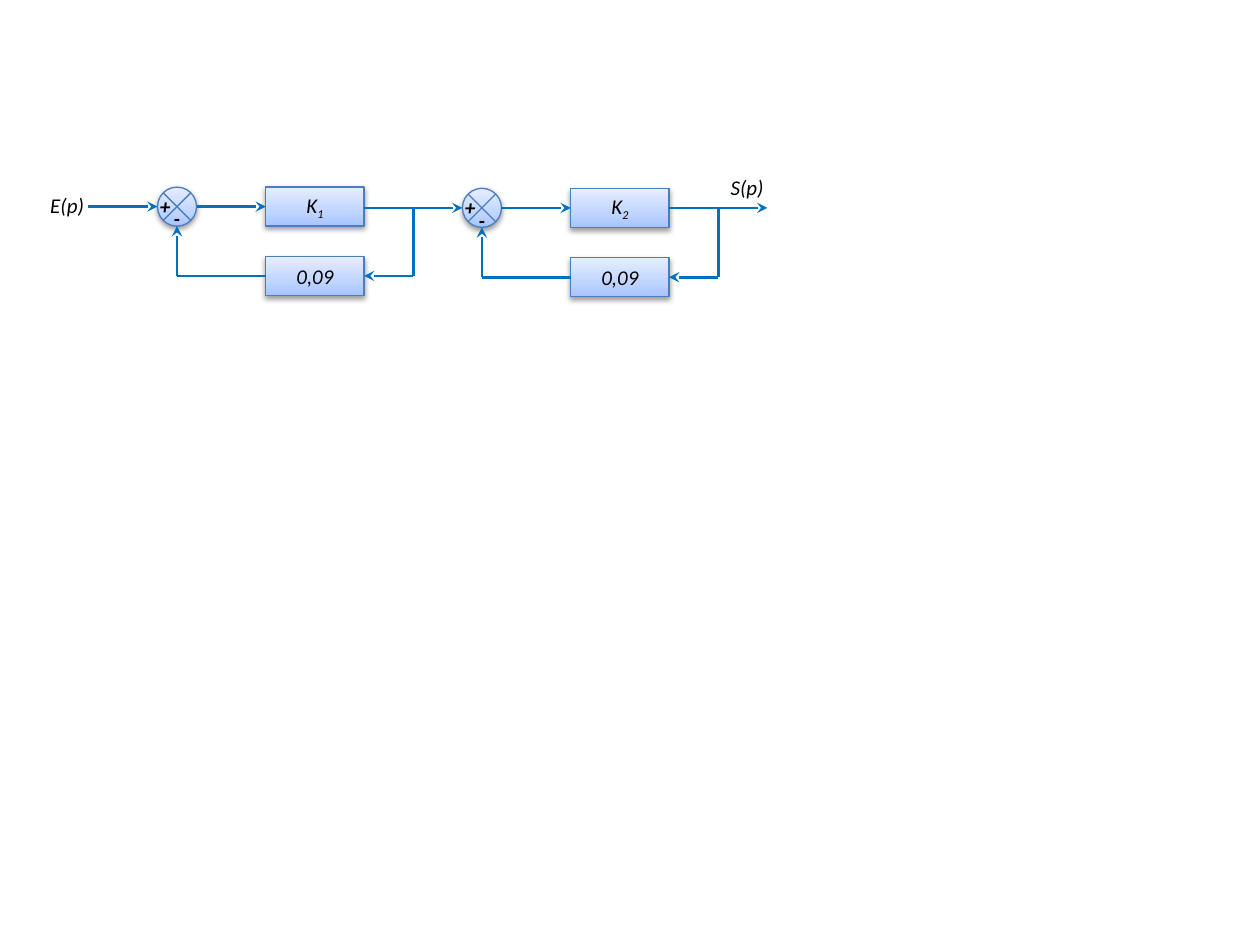
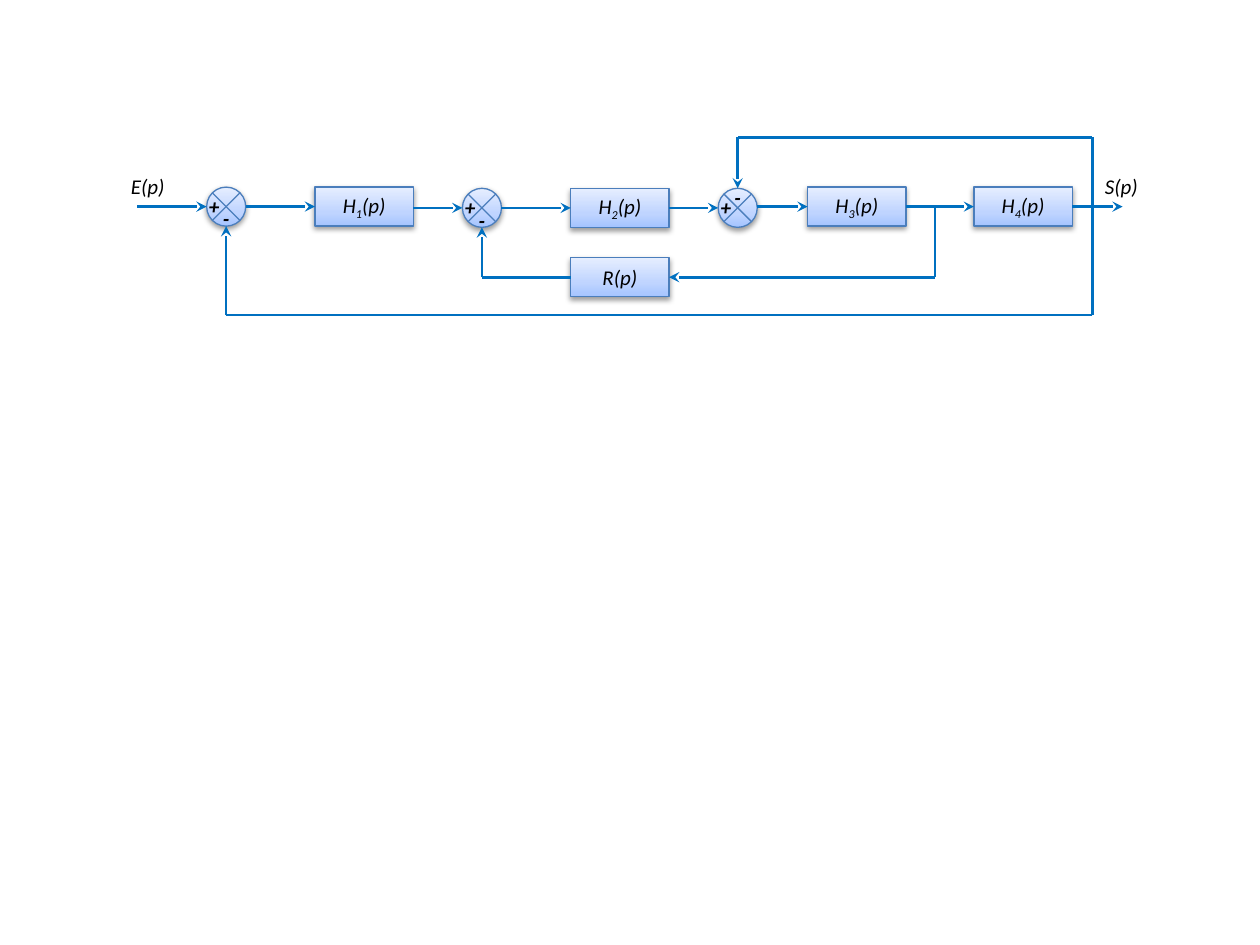
from dataclasses import dataclass
from itertools import pairwise

from lxml import etree
from pptx import Presentation
from pptx import util as u
from pptx.dml.color import RGBColor
from pptx.enum import shapes, text
from pptx.oxml import parse_xml
from pptx.oxml.ns import nsdecls, qn

COLORS = {
    "ink": "000000",
    "signal": "0070C0",
    "outline": "4B7EBC",
    "fill_low": "A4C4FF",
    "fill_mid": "BFD4FF",
    "fill_high": "E6EEFF",
}
FONT = "Calibri"
BLOCK_W, SIZE = 0.78, 0.31  # block width; block height and junction diameter
HALF = SIZE / 2
LABEL_W, LABEL_H = 0.55, 0.3
AXIS, LOWER_AXIS = 1.64, 1.65  # the second loop sits slightly lower
FEEDBACK_DROP = 0.55

Point = tuple[float, float]


@dataclass
class Block:
    """Transfer function; y is the centre line, index is a subscript."""
    left: float
    y: float
    name: str
    index: str = ""
    argument: str = ""

    @property
    def right(self) -> float:
        return self.left + BLOCK_W


@dataclass
class Junction:
    """Comparator; its minus sign is below or above the centre."""
    left: float
    y: float
    minus_above: bool = False

    @property
    def right(self) -> float:
        return self.left + SIZE

    @property
    def center(self) -> float:
        return self.left + HALF


# Shared styles
def rgb(key: str) -> RGBColor:
    return RGBColor.from_string(COLORS[key])


def style_body(shape) -> None:
    """Upward blue gradient, thin outline and soft shadow."""
    shape.shadow.inherit = False
    shape.line.color.rgb = rgb("outline")
    shape.line.width = u.Pt(0.75)
    shape.fill.background()
    stops = "".join(
        f'<a:gs pos="{pos * 1000}"><a:srgbClr val="{COLORS[key]}"/></a:gs>'
        for pos, key in ((0, "fill_low"), (35, "fill_mid"), (100, "fill_high")))
    gradient = parse_xml(
        f'<a:gradFill {nsdecls("a")} rotWithShape="1"><a:gsLst>{stops}</a:gsLst>'
        '<a:lin ang="16200000" scaled="0"/></a:gradFill>')
    properties = shape._element.spPr
    properties.replace(properties.find(qn("a:noFill")), gradient)
    properties.find(qn("a:effectLst")).append(parse_xml(
        f'<a:outerShdw {nsdecls("a")} blurRad="{u.Pt(3.1)}" dist="{u.Pt(1.6)}" '
        f'dir="5400000" rotWithShape="0"><a:srgbClr val="{COLORS["ink"]}">'
        '<a:alpha val="38000"/></a:srgbClr></a:outerShdw>'))


def style_run(run, bold: bool = False) -> None:
    run.font.name = FONT
    run.font.size = u.Pt(12)
    run.font.italic = True
    run.font.bold = bold
    run.font.color.rgb = rgb("ink")


# Diagram parts
def draw_label(slide, left: float, top: float, wording: str,
               bold: bool = False) -> None:
    label = slide.shapes.add_textbox(
        u.Inches(left), u.Inches(top), u.Inches(LABEL_W), u.Inches(LABEL_H))
    label.text_frame.word_wrap = True
    label.text_frame.text = wording
    style_run(label.text_frame.paragraphs[0].runs[0], bold)


def draw_block(slide, block: Block) -> None:
    body = slide.shapes.add_shape(
        shapes.MSO_SHAPE.RECTANGLE, u.Inches(block.left),
        u.Inches(block.y - HALF), u.Inches(BLOCK_W), u.Inches(SIZE))
    style_body(body)
    body.text_frame.vertical_anchor = text.MSO_ANCHOR.MIDDLE
    formula = body.text_frame.paragraphs[0]
    formula.text = block.name
    formula.alignment = text.PP_ALIGN.CENTER
    for part in filter(None, (block.index, block.argument)):
        formula.add_run().text = part
    for run in formula.runs:
        style_run(run)
    if block.index:
        formula.runs[1].font._element.set("baseline", "-25000")


def draw_junction(slide, junction: Junction) -> None:
    top = junction.y - HALF
    body = slide.shapes.add_shape(
        shapes.MSO_SHAPE.FLOWCHART_SUMMING_JUNCTION, u.Inches(junction.left),
        u.Inches(top), u.Inches(SIZE), u.Inches(SIZE))
    style_body(body)
    draw_label(slide, junction.left - 0.08, top, "+", bold=True)
    minus_shift = -0.08 if junction.minus_above else 0.1
    draw_label(slide, junction.left + 0.03, top + minus_shift, "-", bold=True)


def draw_signal(slide, *points: Point, arrow: bool = True) -> None:
    """Line through the points, with an arrowhead at the last one."""
    for start, end in pairwise(points):
        segment = slide.shapes.add_connector(
            shapes.MSO_CONNECTOR.STRAIGHT, *map(u.Inches, start + end))
        segment.line.color.rgb = rgb("signal")
        segment.line.width = u.Pt(1.5)
        if arrow and end == points[-1]:
            outline = segment.line._get_or_add_ln()
            etree.SubElement(outline, qn("a:tailEnd"), type="stealth")
        etree.SubElement(segment._element.spPr, qn("a:effectLst"))


def draw_feedback(slide, tap: Point, block: Block, junction: Junction) -> None:
    """Return path from the tap through the block to the junction."""
    draw_block(slide, block)
    draw_signal(slide, tap, (tap[0], block.y), (block.right, block.y))
    draw_signal(slide, (block.left, block.y), (junction.center, block.y),
                (junction.center, junction.y + HALF))


def draw_chain(slide, start: float, parts: list, end: float) -> None:
    """Direct path: parts from left to right, joined by arrows."""
    for part in parts:
        if isinstance(part, Block):
            draw_block(slide, part)
        else:
            draw_junction(slide, part)
        draw_signal(slide, (start, part.y), (part.left, part.y))
        start = part.right
    draw_signal(slide, (start, parts[-1].y), (end, parts[-1].y))


deck = Presentation()
deck.slide_width, deck.slide_height = u.Inches(10), u.Inches(7.5)
blank = deck.slide_layouts[6]

# Slide 1: two gains in series, each with its own feedback
cascade = deck.slides.add_slide(blank)
first_sum, second_sum = Junction(1.25, AXIS), Junction(3.67, LOWER_AXIS)
gain_1 = Block(2.11, AXIS, "K", "1")
gain_2 = Block(4.53, LOWER_AXIS, "K", "2")
draw_chain(cascade, 0.7, [first_sum, gain_1, second_sum, gain_2], 6.09)
for comparator, gain in ((first_sum, gain_1), (second_sum, gain_2)):
    sensor = Block(gain.left, gain.y + FEEDBACK_DROP, "0,09")
    draw_feedback(cascade, (gain.right + 0.39, gain.y), sensor, comparator)
draw_label(cascade, 0.3, 1.48, "E(p)")
draw_label(cascade, 5.7, 1.34, "S(p)")

# Slide 2: nested loops around four transfer functions
nested = deck.slides.add_slide(blank)
outer_sum = Junction(1.64, AXIS)
middle_sum = Junction(3.67, LOWER_AXIS)
inner_sum = Junction(5.7, LOWER_AXIS, minus_above=True)
layout = ((2.5, AXIS), (4.53, LOWER_AXIS), (6.41, AXIS), (7.73, AXIS))
h1, h2, h3, h4 = (Block(left, y, "H", str(number), "(p)")
                  for number, (left, y) in enumerate(layout, 1))
draw_chain(nested, 1.09,
           [outer_sum, h1, middle_sum, h2, inner_sum, h3, h4], 8.91)
draw_feedback(nested, (7.42, AXIS),
              Block(h2.left, h2.y + FEEDBACK_DROP, "R", argument="(p)"),
              middle_sum)

# Output returned above to the inner sum and below to the outer sum
output_tap, upper, lower = 8.67, 1.09, 2.5
draw_signal(nested, (output_tap, AXIS), (output_tap, upper),
            (inner_sum.center, upper), (inner_sum.center, inner_sum.y - HALF))
draw_signal(nested, (output_tap, AXIS), (output_tap, lower),
            (outer_sum.center, lower), (outer_sum.center, outer_sum.y + HALF))
draw_label(nested, 0.94, 1.33, "E(p)")
draw_label(nested, output_tap, 1.33, "S(p)")

deck.save("out.pptx")
